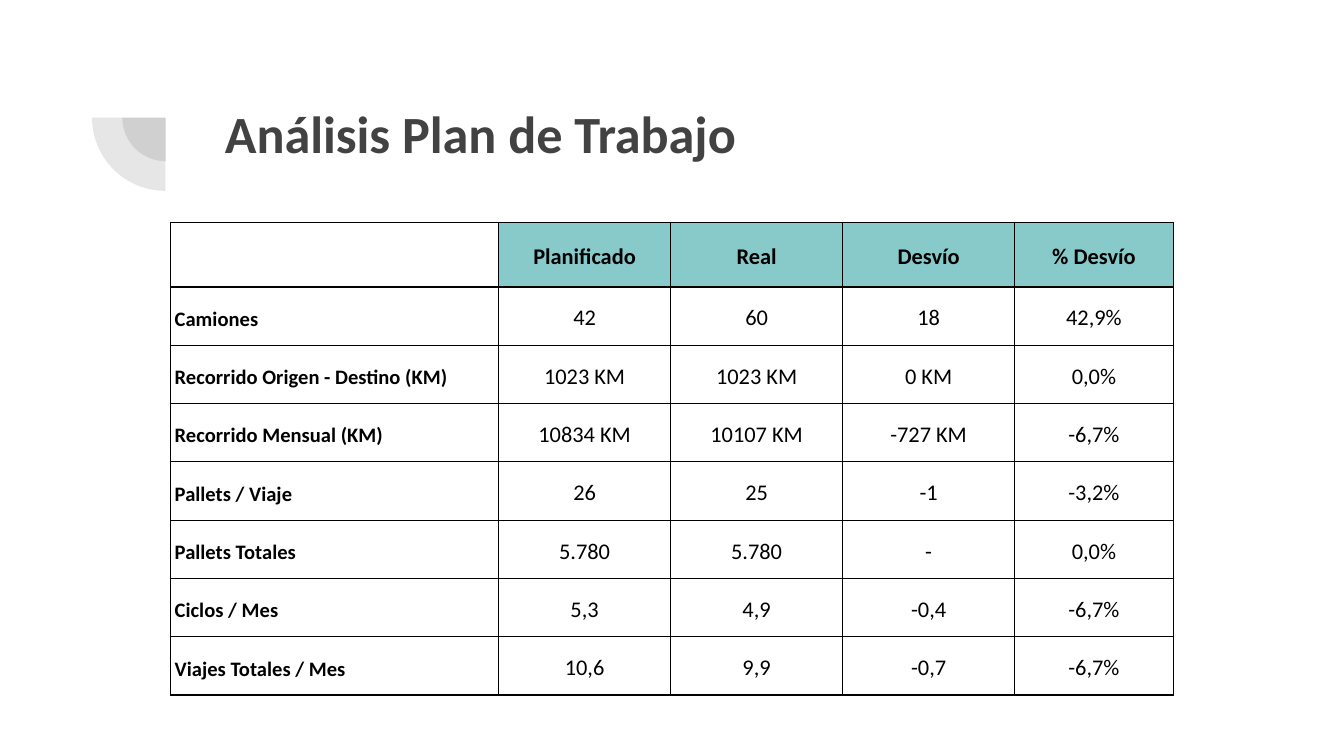
import lxml.etree
import pptx
import pptx.dml.color
import pptx.enum.shapes
import pptx.enum.text
import pptx.oxml.ns
import pptx.util

PX = 4572  # 200 px to the inch
FONT = "Calibri"
GREY, BLACK, TEAL = "424242", "000000", "88C9CA"
ALIGN = pptx.enum.text.PP_ALIGN
ANCHOR = pptx.enum.text.MSO_ANCHOR
qn = pptx.oxml.ns.qn

COLUMN_WIDTHS = [488, 256, 256, 256, 236]
HEADER_HEIGHT, ROW_HEIGHT = 96, 86
PLAN = [
    ["", "Planificado", "Real", "Desvío", "% Desvío"],
    ["Camiones", "42", "60", "18", "42,9%"],
    ["Recorrido Origen - Destino (KM)", "1023 KM", "1023 KM", "0 KM", "0,0%"],
    ["Recorrido Mensual (KM)", "10834 KM", "10107 KM", "-727 KM", "-6,7%"],
    ["Pallets / Viaje", "26", "25", "-1", "-3,2%"],
    ["Pallets Totales", "5.780", "5.780", "-", "0,0%"],
    ["Ciclos / Mes", "5,3", "4,9", "-0,4", "-6,7%"],
    ["Viajes Totales / Mes", "10,6", "9,9", "-0,7", "-6,7%"],
]


def px(*lengths):
    return [pptx.util.Emu(length * PX) for length in lengths]


def rgb(code):
    return pptx.dml.color.RGBColor.from_string(code)


def write(frame, text, size=12, color=BLACK, bold=False, align=ALIGN.LEFT, spacing=1.0):
    paragraph = frame.paragraphs[0]
    paragraph.alignment = align
    paragraph.line_spacing = spacing
    run = paragraph.add_run()
    run.text = text
    run.font.name = FONT
    run.font.size = pptx.util.Pt(size)
    run.font.bold = bold
    run.font.color.rgb = rgb(color)


def add_quarter(slide, left, top, diameter):
    """A translucent quarter disc, turned to the lower left."""
    quarter = slide.shapes.add_shape(
        pptx.enum.shapes.MSO_SHAPE.PIE, *px(left, top, diameter, diameter))
    quarter.adjustments[0] = 108
    quarter.adjustments[1] = 162
    quarter.rotation = 270
    quarter.shadow.inherit = False
    quarter.line.fill.background()
    quarter.fill.solid()
    quarter.fill.fore_color.rgb = rgb(GREY)
    tint = quarter.fill._xPr.find(".//" + qn("a:srgbClr"))
    lxml.etree.SubElement(tint, qn("a:alpha"), val="13000")


def add_title(slide, text):
    title = slide.shapes.add_textbox(*px(315, 131, 1538, 166))
    frame = title.text_frame
    frame.word_wrap = True
    frame.margin_left, frame.margin_top, frame.margin_right, frame.margin_bottom = px(20, 20, 20, 20)
    write(frame, text, size=28, color=GREY, bold=True)


def add_borders(cell):
    properties = cell._tc.get_or_add_tcPr()
    for side in ("a:lnL", "a:lnR", "a:lnT", "a:lnB"):
        line = lxml.etree.SubElement(properties, qn(side), w=str(pptx.util.Pt(0.75)))
        fill = lxml.etree.SubElement(line, qn("a:solidFill"))
        lxml.etree.SubElement(fill, qn("a:srgbClr"), val=BLACK)


def format_cell(cell, text, is_header, is_label, is_last):
    add_borders(cell)
    cell.margin_left, cell.margin_right = px(6, 6)
    # The empty corner needs no vertical margins, so it never stretches its row
    cell.margin_top, cell.margin_bottom = px(20, 20) if text else px(0, 0)
    cell.vertical_anchor = ANCHOR.MIDDLE if is_header or is_last else ANCHOR.BOTTOM
    if is_header and text:
        cell.fill.solid()
        cell.fill.fore_color.rgb = rgb(TEAL)
    else:
        cell.fill.background()
    if text:
        write(cell.text_frame, text, size=11 if is_label else 12,
              bold=is_header or is_label,
              align=ALIGN.LEFT if is_label else ALIGN.CENTER, spacing=1.15)


def add_plan_table(slide, rows):
    heights = [HEADER_HEIGHT] + [ROW_HEIGHT] * (len(rows) - 1)
    table = slide.shapes.add_table(
        len(rows), len(COLUMN_WIDTHS),
        *px(254, 331, sum(COLUMN_WIDTHS), sum(heights))).table
    table.first_row = table.horz_banding = False
    for column, width in zip(table.columns, px(*COLUMN_WIDTHS)):
        column.width = width
    for row, height in zip(table.rows, px(*heights)):
        row.height = height
    for r, values in enumerate(rows):
        for c, value in enumerate(values):
            format_cell(table.cell(r, c), value, is_header=r == 0,
                        is_label=c == 0, is_last=c == len(values) - 1)


def main():
    deck = pptx.Presentation()
    deck.slide_width, deck.slide_height = px(2000, 1125)
    slide = deck.slides.add_slide(deck.slide_layouts[6])

    # Corner ornament
    add_quarter(slide, 182, 110, 130)
    add_quarter(slide, 137, 66, 218)

    # Planned against actual figures
    add_plan_table(slide, PLAN)
    add_title(slide, "Análisis Plan de Trabajo")

    deck.save("out.pptx")


if __name__ == "__main__":
    main()
